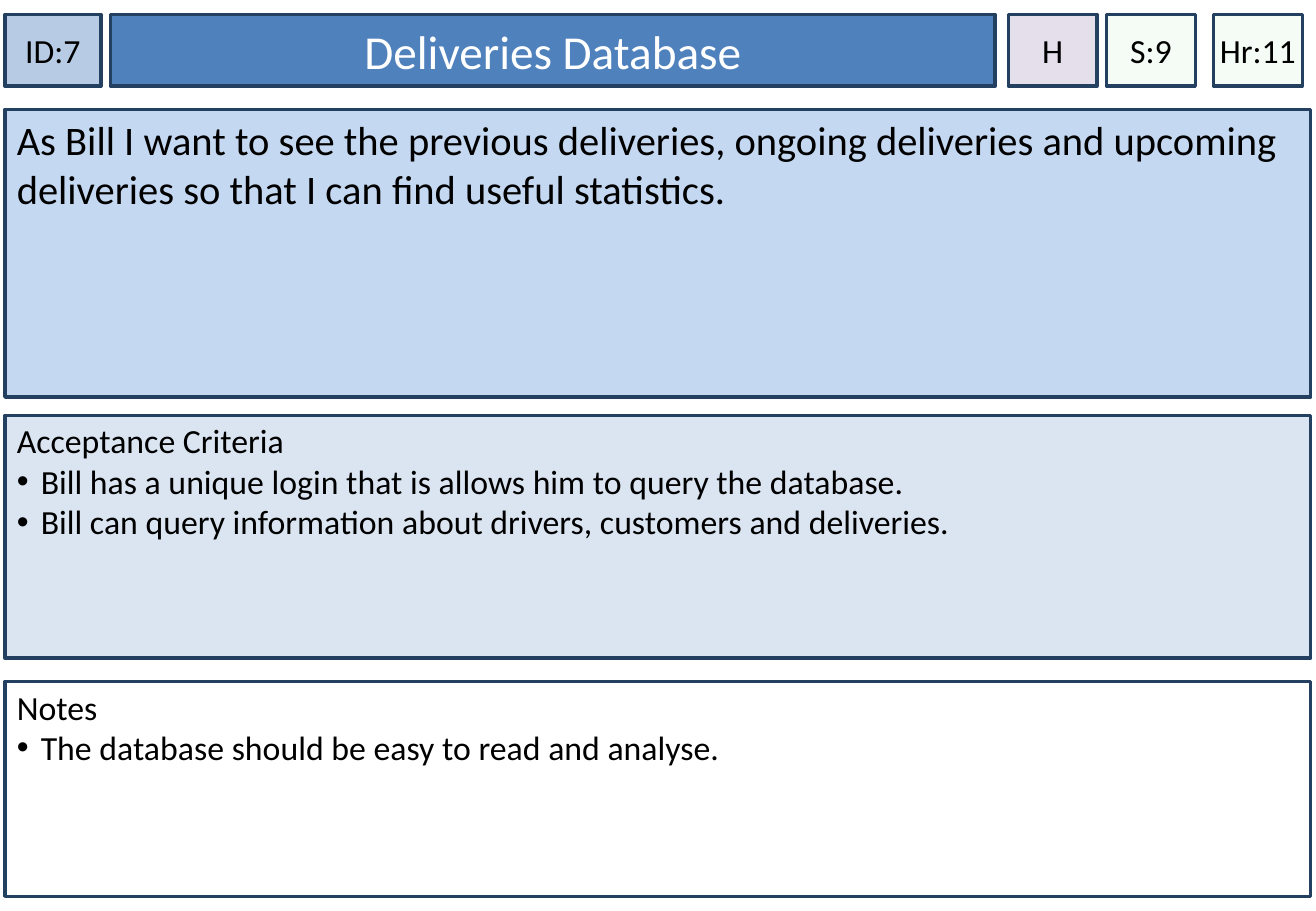
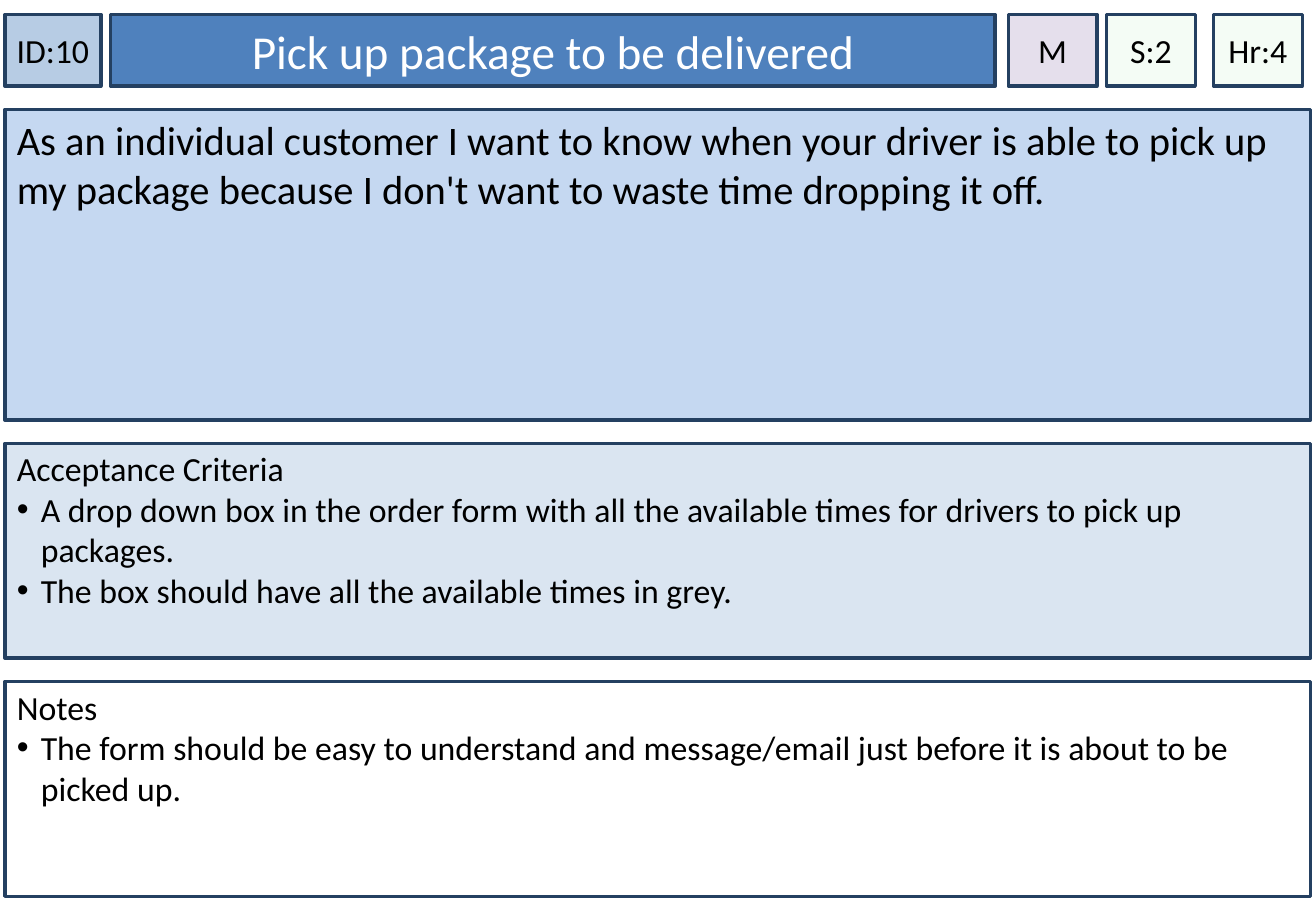
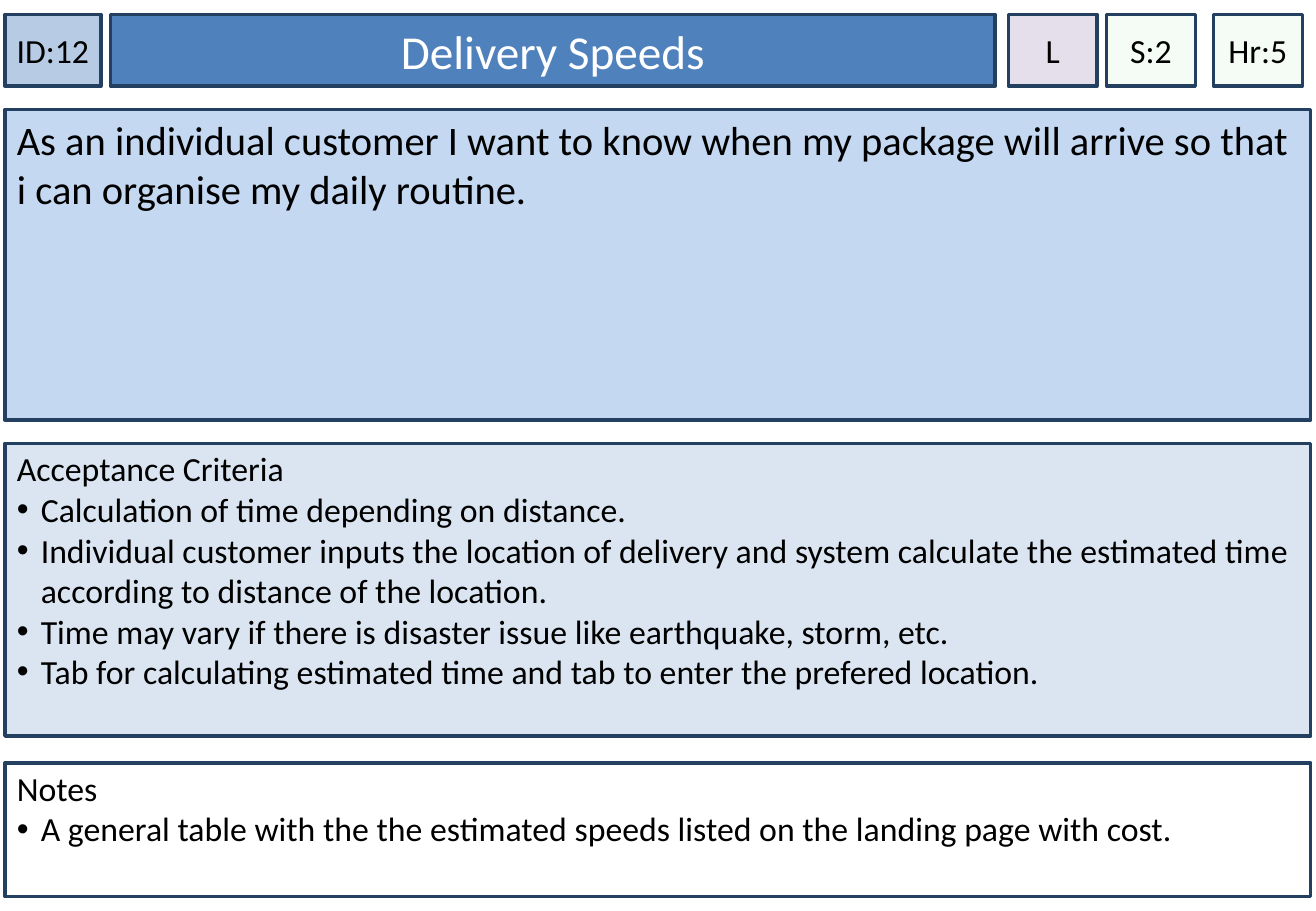
"""Build three user story cards for a delivery service."""
from lxml import etree
from pptx import Presentation
from pptx.dml.color import RGBColor
from pptx.enum.shapes import MSO_SHAPE
from pptx.enum.text import MSO_ANCHOR, MSO_AUTO_SIZE, PP_ALIGN
from pptx.oxml.ns import qn
from pptx.util import Pt

RECTANGLE = MSO_SHAPE.RECTANGLE
TOP, MIDDLE = MSO_ANCHOR.TOP, MSO_ANCHOR.MIDDLE
LEFT, CENTER = PP_ALIGN.LEFT, PP_ALIGN.CENTER
NO_AUTOFIT = MSO_AUTO_SIZE.NONE

FONT = "Calibri"
BORDER, INK, WHITE = "244061", "000000", "FFFFFF"
TITLE_BLUE, STORY_BLUE, CRITERIA_BLUE = "4F81BD", "C5D8F1", "DAE5F1"
ID_BLUE, PRIORITY_LILAC, ESTIMATE_GREEN = "B7CCE4", "E5DFEC", "CCF0CD"

MARGIN, PANEL_WIDTH = 2.9, 774
HEADER_TOP, HEADER_HEIGHT = 8.6, 42.5
TITLE_LEFT, TITLE_WIDTH = 65.5, 524.3
STORY_TOP, NOTES_BOTTOM = 64.8, 531.4
BULLET_INDENT = 14.2

TAGS = [
    ("id", MARGIN, 56.9, ID_BLUE, 100),
    ("size", 655.9, 52.6, ESTIMATE_GREEN, 20),
    ("priority", 597.6, 52.6, PRIORITY_LILAC, 100),
    ("hours", 719.3, 52.6, ESTIMATE_GREEN, 20),
]

CARDS = [
    {
        "title": "Deliveries Database",
        "id": "ID:7", "priority": "H", "size": "S:9", "hours": "Hr:11",
        "story": "As Bill I want to see the previous deliveries, ongoing deliveries and "
                 "upcoming deliveries so that I can find useful statistics.",
        "criteria": [
            "Bill has a unique login that is allows him to query the database.",
            "Bill can query information about drivers, customers and deliveries.",
        ],
        "notes": ["The database should be easy to read and analyse."],
        "story_bottom": 235.4, "criteria_span": (246.2, 390.2), "notes_top": 404,
    },
    {
        "title": "Pick up package to be delivered",
        "id": "ID:10", "priority": "M", "size": "S:2", "hours": "Hr:4",
        "story": "As an individual customer I want to know when your driver is able to pick up "
                 "my package because I don't want to waste time dropping it off.",
        "criteria": [
            "A drop down box in the order form with all the available times for drivers "
            "to pick up packages.",
            "The box should have all the available times in grey.",
        ],
        "notes": ["The form should be easy to understand and message/email just before "
                  "it is about to be picked up."],
        "story_bottom": 249.1, "criteria_span": (262.8, 390.2), "notes_top": 404,
    },
    {
        "title": "Delivery Speeds",
        "id": "ID:12", "priority": "L", "size": "S:2", "hours": "Hr:5",
        "story": "As an individual customer I want to know when my package will arrive so that "
                 "i can organise my daily routine.",
        "criteria": [
            "Calculation of time depending on distance.",
            "Individual customer inputs the location of delivery and system calculate the "
            "estimated time according to distance of the location.",
            "Time may vary if there is disaster issue like earthquake, storm, etc.",
            "Tab for calculating estimated time and tab to enter the prefered location.",
        ],
        "notes": ["A general table with the the estimated speeds listed on the landing page "
                  "with cost."],
        "story_bottom": 249.1, "criteria_span": (262.8, 436.3), "notes_top": 452.2,
    },
]


def rgb(hex_color):
    """Turn a hex string into a colour."""
    return RGBColor.from_string(hex_color)


def format_box(box, lines, fill, size, color=INK, align=LEFT, anchor=TOP, side=7.2, top=3.6):
    """Style a bordered box and write a first line followed by bullets."""
    box.shadow.inherit = False
    box.fill.solid()
    box.fill.fore_color.rgb = rgb(fill)
    box.line.color.rgb = rgb(BORDER)
    box.line.width = Pt(2)
    frame = box.text_frame
    frame.text = "\n".join(lines)
    frame.word_wrap = True
    frame.auto_size = NO_AUTOFIT
    frame.vertical_anchor = anchor
    frame.margin_left = frame.margin_right = Pt(side)
    frame.margin_top, frame.margin_bottom = Pt(top), Pt(3.6)
    for index, paragraph in enumerate(frame.paragraphs):
        paragraph.alignment = align
        if index:
            properties = paragraph._p.get_or_add_pPr()
            properties.set("marL", str(Pt(BULLET_INDENT)))
            properties.set("indent", str(-Pt(BULLET_INDENT)))
            bullet_color = etree.SubElement(properties, qn("a:buClr"))
            etree.SubElement(bullet_color, qn("a:srgbClr"), val=INK)
            etree.SubElement(properties, qn("a:buFont"), typeface="Arial")
            etree.SubElement(properties, qn("a:buChar"), char="•")
        for run in paragraph.runs:
            run.font.name = FONT
            run.font.size = Pt(size)
            run.font.color.rgb = rgb(color)


deck = Presentation()
deck.slide_width, deck.slide_height = Pt(780), Pt(540)
title_only = deck.slide_layouts[5]

for card in CARDS:
    slide = deck.slides.add_slide(title_only)

    title = slide.shapes.title
    title.left, title.top = Pt(TITLE_LEFT), Pt(HEADER_TOP)
    title.width, title.height = Pt(TITLE_WIDTH), Pt(HEADER_HEIGHT)
    format_box(title, [card["title"]], TITLE_BLUE, 28, WHITE, CENTER, MIDDLE)

    criteria_top, criteria_bottom = card["criteria_span"]
    panels = [
        ([card["story"]], STORY_TOP, card["story_bottom"], STORY_BLUE, 24, 3.6),
        (["Acceptance Criteria"] + card["criteria"], criteria_top, criteria_bottom,
         CRITERIA_BLUE, 20, 2.9),
        (["Notes"] + card["notes"], card["notes_top"], NOTES_BOTTOM, WHITE, 20, 2.9),
    ]
    for lines, top, bottom, fill, size, inset in panels:
        panel = slide.shapes.add_shape(
            RECTANGLE, Pt(MARGIN), Pt(top), Pt(PANEL_WIDTH), Pt(bottom - top))
        format_box(panel, lines, fill, size, top=inset)

    for field, left, width, fill, opacity in TAGS:
        tag = slide.shapes.add_shape(
            RECTANGLE, Pt(left), Pt(HEADER_TOP), Pt(width), Pt(HEADER_HEIGHT))
        format_box(tag, [card[field]], fill, 20, align=CENTER, anchor=MIDDLE, side=0)
        if opacity < 100:
            tint = tag._element.spPr.find(qn("a:solidFill")).find(qn("a:srgbClr"))
            etree.SubElement(tint, qn("a:alpha"), val=str(opacity * 1000))

deck.save("out.pptx")
